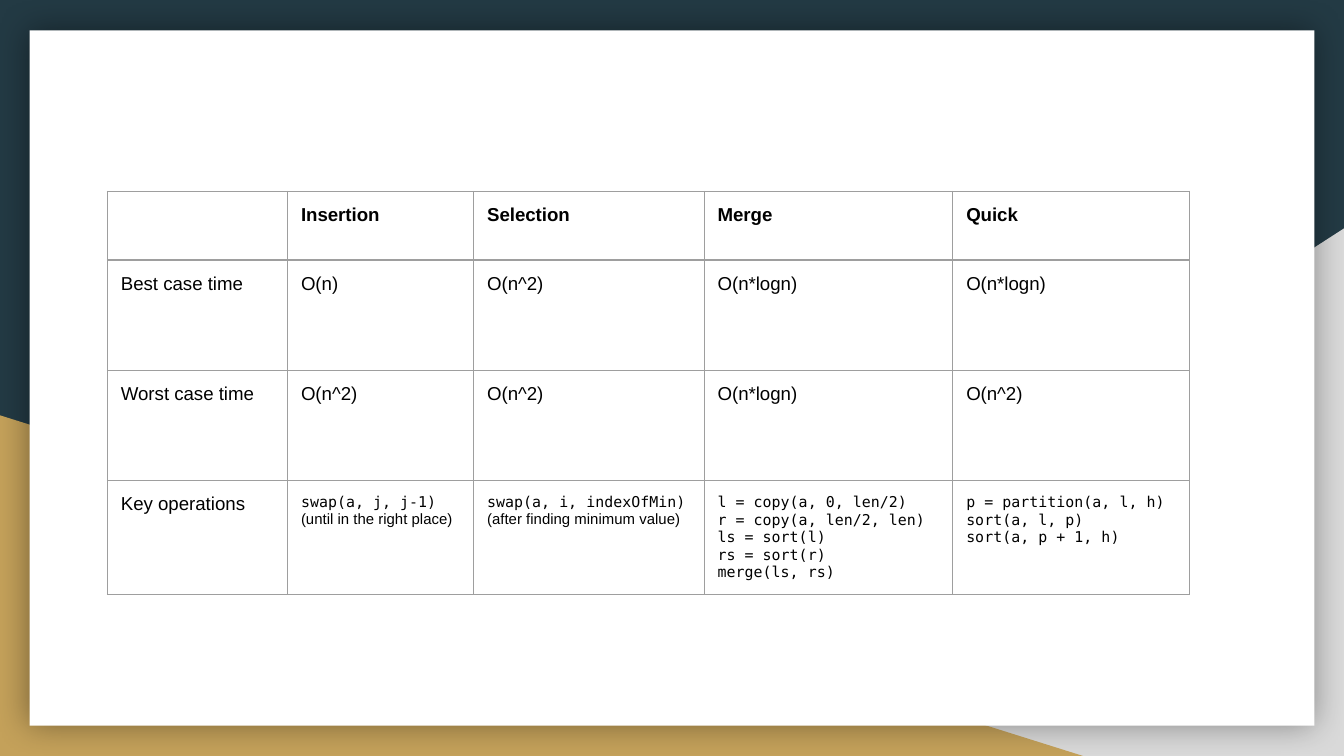
from lxml import etree
from pptx import Presentation
from pptx.dml.color import RGBColor
from pptx.enum.shapes import MSO_SHAPE
from pptx.oxml import parse_xml
from pptx.oxml.ns import nsdecls, qn
from pptx.util import Inches, Pt

RECTANGLE = MSO_SHAPE.RECTANGLE
RIGHT_TRIANGLE = MSO_SHAPE.RIGHT_TRIANGLE

COLORS = {
    "navy": "233A44",
    "gray": "D9D9D9",
    "gold": "C4A15A",
    "white": "FFFFFF",
    "black": "000000",
    "border": "9E9E9E",
}
GRID_COLUMNS = 100
GRID_ROWS = 56.25
COLUMN_WIDTHS = [13.4, 13.85, 17.15, 18.5, 17.6]
ROW_HEIGHTS = [5.1, 8.2, 8.2, 8.5]
SORT_TABLE = [
    ["", "Insertion", "Selection", "Merge", "Quick"],
    ["Best case time", "O(n)", "O(n^2)", "O(n*logn)", "O(n*logn)"],
    ["Worst case time", "O(n^2)", "O(n^2)", "O(n*logn)", "O(n^2)"],
    [
        "Key operations",
        "swap(a, j, j-1)\n(until in the right place)",
        "swap(a, i, indexOfMin)\n(after finding minimum value)",
        "l = copy(a, 0, len/2)\nr = copy(a, len/2, len)\nls = sort(l)\nrs = sort(r)\nmerge(ls, rs)",
        "p = partition(a, l, h)\nsort(a, l, p)\nsort(a, p + 1, h)",
    ],
]


class SlideBuilder:
    body_font = "Arial"
    code_font = "DejaVu Sans Mono"
    body_size = Pt(10)
    code_size = Pt(8)
    cell_margin = 1

    def __init__(self, presentation):
        self.unit_x = presentation.slide_width / GRID_COLUMNS
        self.unit_y = presentation.slide_height / GRID_ROWS
        self.slide = presentation.slides.add_slide(presentation.slide_layouts[6])

    def color(self, name):
        return RGBColor.from_string(COLORS[name])

    def x(self, columns):
        return round(columns * self.unit_x)

    def y(self, rows):
        return round(rows * self.unit_y)

    def background(self, color):
        fill = self.slide.background.fill
        fill.solid()
        fill.fore_color.rgb = self.color(color)

    def shape(self, preset, left, top, width, height, color, flipped=False):
        shape = self.slide.shapes.add_shape(
            preset, self.x(left), self.y(top), self.x(width), self.y(height)
        )
        shape.shadow.inherit = False
        shape.fill.solid()
        shape.fill.fore_color.rgb = self.color(color)
        shape.line.fill.background()
        if flipped:
            shape._element.spPr.find(qn("a:xfrm")).set("flipH", "1")
        return shape

    def soft_shadow(self, shape, blur, opacity):
        effects = shape._element.spPr.find(qn("a:effectLst"))
        shadow = etree.SubElement(
            effects, qn("a:outerShdw"), blurRad=str(Pt(blur)), dist="0", dir="0", rotWithShape="0"
        )
        color = etree.SubElement(shadow, qn("a:srgbClr"), val=COLORS["black"])
        etree.SubElement(color, qn("a:alpha"), val=str(opacity * 1000))

    def table(self, left, top, widths, heights, rows):
        table = self.slide.shapes.add_table(
            len(heights), len(widths), self.x(left), self.y(top),
            self.x(sum(widths)), self.y(sum(heights)),
        ).table
        table.first_row = False
        table.horz_banding = False
        for column, width in zip(table.columns, widths):
            column.width = self.x(width)
        for row, height in zip(table.rows, heights):
            row.height = self.y(height)
        for row_index, texts in enumerate(rows):
            for column_index, text in enumerate(texts):
                cell = table.cell(row_index, column_index)
                is_operation = row_index == len(rows) - 1 and column_index > 0
                self.cell(cell, text, row_index == 0, is_operation)

    def cell(self, cell, text, is_header, is_operation):
        cell.fill.background()
        cell.margin_left = cell.margin_right = self.x(self.cell_margin)
        cell.margin_top = cell.margin_bottom = self.y(self.cell_margin)
        self.borders(cell)
        cell.text_frame.text = text
        for paragraph in cell.text_frame.paragraphs:
            is_code = is_operation and not paragraph.text.startswith("(")
            font = paragraph.font
            for target in [font] + [run.font for run in paragraph.runs]:
                target.name = self.code_font if is_code else self.body_font
                target.size = self.code_size if is_operation else self.body_size
                target.bold = is_header
                target.color.rgb = self.color("black")

    def borders(self, cell):
        properties = cell._tc.get_or_add_tcPr()
        for index, side in enumerate(("lnL", "lnR", "lnT", "lnB")):
            border = parse_xml(
                f'<a:{side} {nsdecls("a")} w="{Pt(0.75)}"><a:solidFill>'
                f'<a:srgbClr val="{COLORS["border"]}"/></a:solidFill></a:{side}>'
            )
            properties.insert(index, border)


def main():
    presentation = Presentation()
    presentation.slide_width = Inches(10)
    presentation.slide_height = presentation.slide_width * 9 // 16
    builder = SlideBuilder(presentation)
    builder.background("navy")
    builder.shape(RIGHT_TRIANGLE, 39.2, 17, 60.8, GRID_ROWS - 17, "gray", flipped=True)
    builder.shape(RIGHT_TRIANGLE, 0, 30.9, 80.6, GRID_ROWS - 30.9, "gold")
    card = builder.shape(RECTANGLE, 2.2, 2.25, 95.6, 51.75, "white")
    builder.soft_shadow(card, blur=18, opacity=40)
    builder.table(8, 14.25, COLUMN_WIDTHS, ROW_HEIGHTS, SORT_TABLE)
    presentation.save("out.pptx")


if __name__ == "__main__":
    main()
